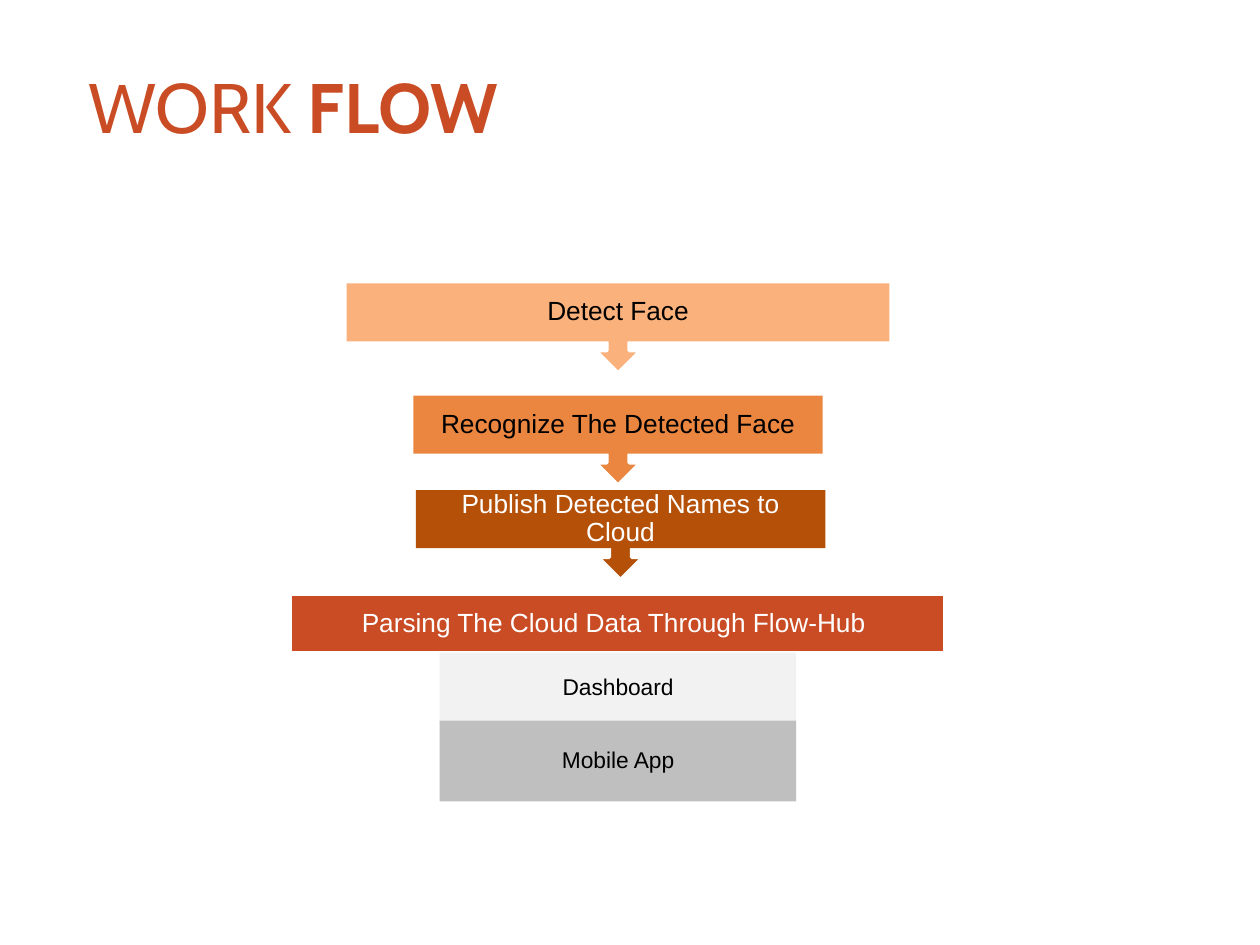
from pptx import Presentation
from pptx.dml.color import RGBColor
from pptx.enum.shapes import MSO_SHAPE
from pptx.enum.text import MSO_ANCHOR, PP_ALIGN
from pptx.util import Inches, Pt

BLACK = RGBColor(0x00, 0x00, 0x00)
WHITE = RGBColor(0xFF, 0xFF, 0xFF)
PEACH = RGBColor(0xFA, 0xB1, 0x7B)
ORANGE = RGBColor(0xEA, 0x86, 0x40)
BROWN = RGBColor(0xB4, 0x50, 0x07)
RUST = RGBColor(0xC9, 0x4C, 0x25)
PALE_GRAY = RGBColor(0xF2, 0xF2, 0xF2)
GRAY = RGBColor(0xBF, 0xBF, 0xBF)

TITLE = [("WORK ", False), ("FLOW", True)]

# Steps with a down arrow: text, left, top, width, fill, text colour
STEPS = [
    ("Detect Face", 2.75, 2.25, 4.31, PEACH, BLACK),
    ("Recognize The Detected Face", 3.28, 3.14, 3.25, ORANGE, BLACK),
    ("Publish Detected Names to Cloud", 3.3, 3.89, 3.25, BROWN, WHITE),
]
STEP_HEIGHT, CALLOUT_HEIGHT = 0.46, 0.71

# Last step: outlined bar with its label inset by an equal margin
PARSING = "Parsing The Cloud Data Through Flow-Hub "
PARSING_LEFT, PARSING_TOP, PARSING_WIDTH = 2.3, 4.72, 5.2
LABEL_MARGIN = 0.11

# Outputs of the last step: text, top, height, fill
OUTPUTS = [
    ("Dashboard", 5.18, 0.57, PALE_GRAY),
    ("Mobile App", 5.72, 0.64, GRAY),
]
OUTPUT_LEFT, OUTPUT_WIDTH = 3.49, 2.83


def add_block(slide, preset, left, top, width, height, fill, outlined=False):
    block = slide.shapes.add_shape(
        preset, Inches(left), Inches(top), Inches(width), Inches(height))
    block.shadow.inherit = False
    block.fill.solid()
    block.fill.fore_color.rgb = fill
    if outlined:
        block.line.color.rgb = WHITE
        block.line.width = Pt(2)
    else:
        block.line.fill.background()
    return block


def add_label(block, text, size, color, inset):
    frame = block.text_frame
    frame.text = text
    frame.word_wrap = True
    frame.vertical_anchor = MSO_ANCHOR.MIDDLE
    frame.margin_left = frame.margin_right = Inches(inset)
    frame.margin_top = frame.margin_bottom = Inches(inset)
    paragraph = frame.paragraphs[0]
    paragraph.alignment = PP_ALIGN.CENTER
    paragraph.line_spacing = 0.9
    font = paragraph.runs[0].font
    font.name, font.size, font.color.rgb = "Arial", Pt(size), color


def add_title(slide):
    title = slide.shapes.add_textbox(
        Inches(0.5), Inches(0.4), Inches(5.33), Inches(0.87))
    frame = title.text_frame
    frame.word_wrap = True
    frame.vertical_anchor = MSO_ANCHOR.MIDDLE
    frame.margin_left, frame.margin_right = Inches(0.2), 0
    for text, bold in TITLE:
        run = frame.paragraphs[0].add_run()
        run.text = text
        run.font.name, run.font.size, run.font.bold = "Cabin", Pt(40), bold
        run.font.color.rgb = RUST


def main():
    prs = Presentation()
    prs.slide_width, prs.slide_height = Inches(10), Inches(7.5)
    slide = prs.slides.add_slide(prs.slide_layouts[6])
    add_title(slide)

    # Steps: an upside-down arrow callout behind each labelled bar
    for text, left, top, width, fill, color in STEPS:
        callout = add_block(slide, MSO_SHAPE.UP_ARROW_CALLOUT, left, top,
                            width, CALLOUT_HEIGHT, fill, outlined=True)
        callout.rotation = 180
        bar = add_block(slide, MSO_SHAPE.RECTANGLE, left, top,
                        width, STEP_HEIGHT, fill)
        add_label(bar, text, 15, color, 0.12)

    # Parsing step
    add_block(slide, MSO_SHAPE.RECTANGLE, PARSING_LEFT, PARSING_TOP,
              PARSING_WIDTH, STEP_HEIGHT, RUST, outlined=True)
    label = add_block(slide, MSO_SHAPE.RECTANGLE,
                      PARSING_LEFT + LABEL_MARGIN, PARSING_TOP + LABEL_MARGIN,
                      PARSING_WIDTH - 2 * LABEL_MARGIN,
                      STEP_HEIGHT - 2 * LABEL_MARGIN, RUST)
    add_label(label, PARSING, 15, WHITE, 0.12)

    # Outputs
    for text, top, height, fill in OUTPUTS:
        output = add_block(slide, MSO_SHAPE.RECTANGLE, OUTPUT_LEFT, top,
                           OUTPUT_WIDTH, height, fill)
        add_label(output, text, 13, BLACK, 0.1)

    prs.save("out.pptx")


if __name__ == "__main__":
    main()
